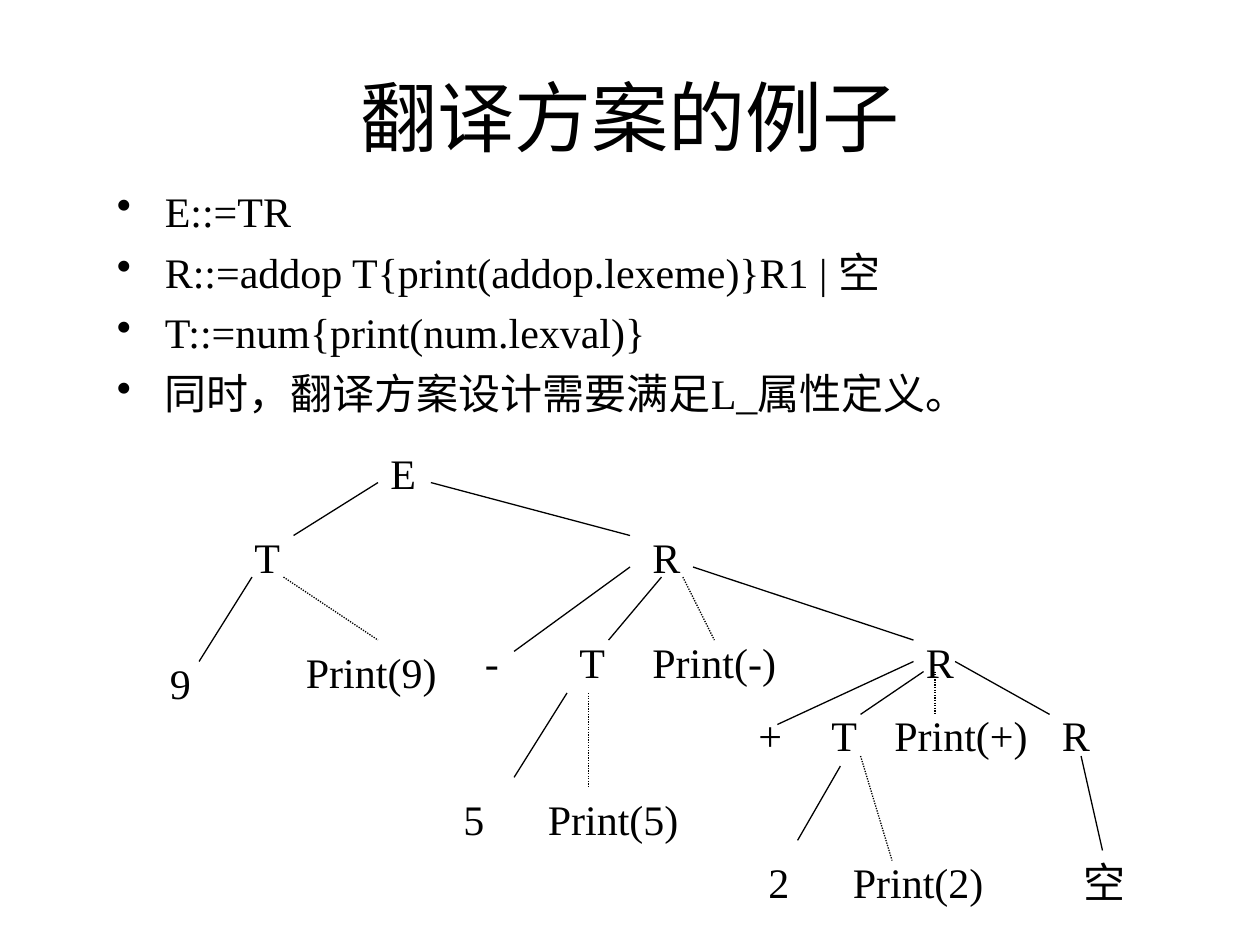
from dataclasses import dataclass

from lxml.etree import SubElement
from pptx import Presentation
from pptx.dml.color import RGBColor
from pptx.enum.dml import MSO_LINE
from pptx.enum.shapes import MSO_CONNECTOR
from pptx.enum.text import MSO_ANCHOR, MSO_AUTO_SIZE, PP_ALIGN
from pptx.oxml.ns import qn
from pptx.util import Inches, Pt


@dataclass(frozen=True)
class Theme:
    ink: RGBColor = RGBColor(0, 0, 0)
    face: str = "Times New Roman"
    head: int = Pt(44)
    text: int = Pt(24)
    line: int = Pt(0.75)
    gap: int = Pt(6)


theme = Theme()

deck = Presentation()
deck.slide_width, deck.slide_height = Inches(10), Inches(7.5)
slide = deck.slides.add_slide(deck.slide_layouts[6])


def add_text(lines, box, size, frame=None, para=None, mark=None):
    """Add a text box; frame and para hold format values, mark is a bullet."""
    body = slide.shapes.add_textbox(*map(Inches, box)).text_frame
    for name, value in {"word_wrap": True, **(frame or {})}.items():
        setattr(body, name, value)
    for i, line in enumerate(lines):
        item = body.add_paragraph() if i else body.paragraphs[0]
        item.text = line
        for name, value in (para or {}).items():
            setattr(item, name, value)
        if i:
            item.space_before = theme.gap
        if mark:
            props = item._p.get_or_add_pPr()
            props.set("marL", str(Inches(0.38)))
            props.set("indent", str(-Inches(0.38)))
            SubElement(props, qn("a:buChar"), char=mark)
        for name, value in {"name": theme.face, "size": size}.items():
            setattr(item.font, name, value)
        item.font.color.rgb = theme.ink


def add_edge(start, end, dash=None):
    """Draw one branch of the tree, without a shadow."""
    edge = slide.shapes.add_connector(
        MSO_CONNECTOR.STRAIGHT, *map(Inches, start + end))
    edge.line.color.rgb = theme.ink
    for name, value in {"width": theme.line, "dash_style": dash}.items():
        setattr(edge.line, name, value)
    SubElement(edge._element.spPr, qn("a:effectLst"))


# Title
add_text(["翻译方案的例子"], (0.75, 0.42, 8.5, 1), theme.head,
         {"vertical_anchor": MSO_ANCHOR.MIDDLE},
         {"alignment": PP_ALIGN.CENTER})

# Grammar rules
rules = [
    "E::=TR",
    "R::=addop T{print(addop.lexeme)}R1 | 空",
    "T::=num{print(num.lexval)}",
    "同时，翻译方案设计需要满足L_属性定义。",
]
add_text(rules, (0.83, 1.42, 8.42, 2), theme.text, mark="•")

# Tree nodes: label, left, top, width
nodes = [
    ("E", 3, 3.5, 0.75),
    ("T", 1.92, 4.17, 0.5),
    ("R", 5.08, 4.17, 0.5),
    ("9", 1.25, 5.17, 0.92),
    ("Print(9)", 2.33, 5.08, 1.33),
    ("-", 3.75, 5, 0.33),
    ("T", 4.5, 5, 0.67),
    ("Print(-)", 5.08, 5, 1.33),
    ("R", 7.25, 5, 1.08),
    ("5", 3.58, 6.25, 0.5),
    ("Print(5)", 4.25, 6.25, 1.33),
    ("+", 5.92, 5.58, 0.42),
    ("T", 6.5, 5.58, 0.67),
    ("Print(+)", 7, 5.58, 1.33),
    ("R", 8.33, 5.58, 1.42),
    ("2", 6, 6.75, 0.67),
    ("Print(2)", 6.67, 6.75, 1.33),
    ("空", 8.5, 6.75, 0.75),
]
for label, left, top, width in nodes:
    add_text([label], (left, top, width, 0.5), theme.text,
             {"auto_size": MSO_AUTO_SIZE.SHAPE_TO_FIT_TEXT})

# Solid branches lead to grammar symbols
solid = [
    ((3, 3.83), (2.33, 4.25)),
    ((3.42, 3.83), (5, 4.25)),
    ((2, 4.58), (1.58, 5.25)),
    ((5, 4.5), (4.08, 5.17)),
    ((5.25, 4.58), (4.83, 5.08)),
    ((5.5, 4.5), (7.25, 5.08)),
    ((4.5, 5.5), (4.08, 6.17)),
    ((7.25, 5.25), (6.17, 5.75)),
    ((7.33, 5.33), (6.83, 5.67)),
    ((7.58, 5.25), (8.33, 5.67)),
    ((6.67, 6.08), (6.33, 6.67)),
    ((8.58, 6), (8.75, 6.75)),
]
for start, end in solid:
    add_edge(start, end)

# Dotted branches lead to print actions
dotted = [
    ((2.25, 4.58), (3, 5.08)),
    ((5.42, 4.58), (5.67, 5.08)),
    ((4.67, 5.5), (4.67, 6.25)),
    ((7.42, 5.33), (7.42, 5.67)),
    ((6.83, 6), (7.08, 6.83)),
]
for start, end in dotted:
    add_edge(start, end, MSO_LINE.ROUND_DOT)

deck.save("out.pptx")
